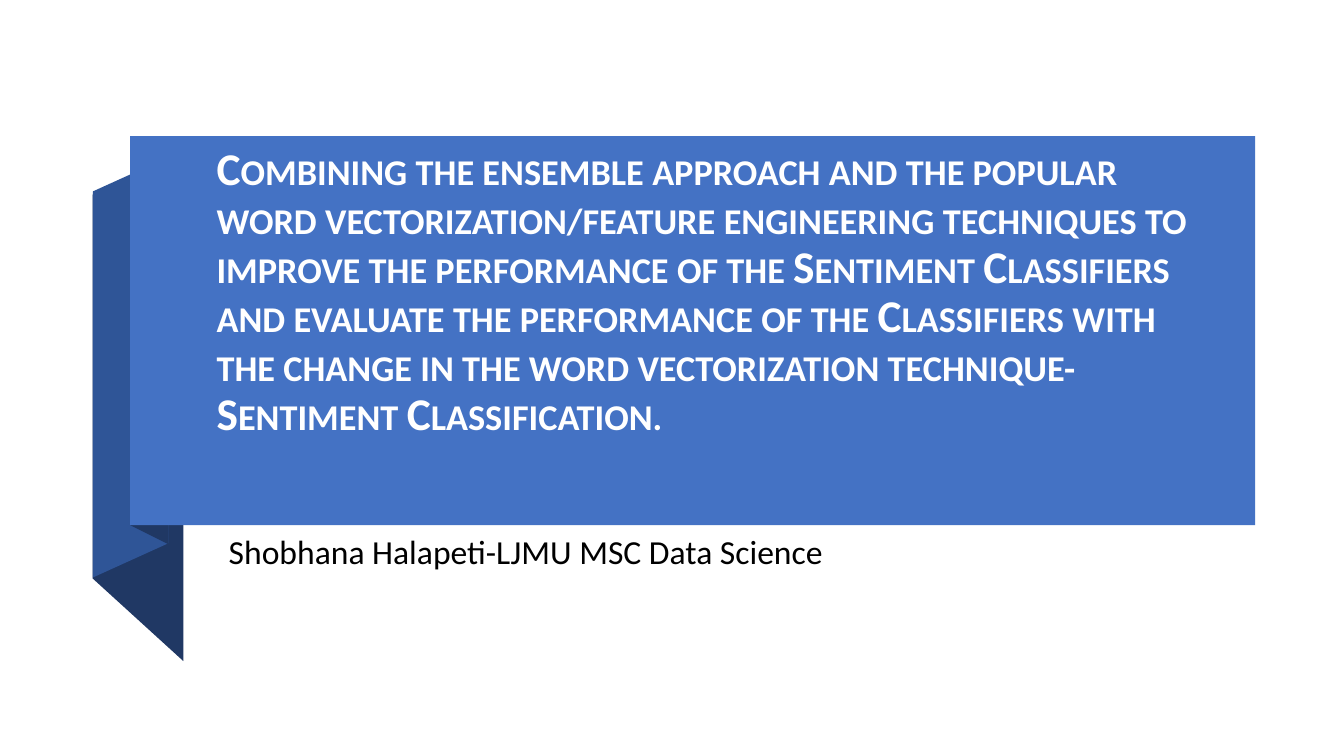
from pptx import Presentation
from pptx.dml.color import RGBColor
from pptx.enum.shapes import MSO_SHAPE
from pptx.enum.text import MSO_ANCHOR
from pptx.util import Pt

SCALE = 9144  # EMU per px, at 100 px to the inch
SLIDE_SIZE = (1333, 750)
FONT = "Calibri"

TITLE = (
    "Combining the ensemble approach and the popular word "
    "vectorization/feature engineering techniques to improve the performance "
    "of the Sentiment Classifiers and evaluate the performance of the "
    "Classifiers with the change in the word vectorization "
    "technique-Sentiment Classification."
)
AUTHOR = "Shobhana Halapeti-LJMU MSC Data Science"

NAVY, BLUE, BRIGHT = "203864", "2F5597", "4472C4"
BANNER = (129, 135, 1116, 386)
# Ribbon folds, back to front: colour and corners
FOLDS = [
    (NAVY, [(92, 574), (182, 656), (182, 276), (92, 193)]),
    (BLUE, [(92, 573), (167, 539), (167, 156), (92, 190)]),
    (NAVY, [(129, 521), (167, 540), (167, 155), (129, 136)]),
]


def px(*lengths):
    return [length * SCALE for length in lengths]


def rgb(hex_text):
    return RGBColor.from_string(hex_text)


def paint(shape, color):
    shape.shadow.inherit = False
    shape.fill.solid()
    shape.fill.fore_color.rgb = rgb(color)
    shape.line.fill.background()


def add_text(slide, text, frame, *, size, color, bold=False, small_caps=False,
             anchor=MSO_ANCHOR.TOP, bottom_inset=5, space_before=0):
    box = slide.shapes.add_textbox(*px(*frame)).text_frame
    box.word_wrap = True
    box.vertical_anchor = anchor
    box.margin_bottom = bottom_inset * SCALE
    para = box.paragraphs[0]
    para.line_spacing = 0.9
    para.space_before = Pt(space_before)
    span = para.add_run()
    span.text = text
    span.font.name = FONT
    span.font.size = Pt(size)
    span.font.bold = bold
    span.font.color.rgb = rgb(color)
    if small_caps:
        span._r.get_or_add_rPr().set("cap", "small")


def main():
    deck = Presentation()
    deck.slide_width, deck.slide_height = px(*SLIDE_SIZE)
    page = deck.slides.add_slide(deck.slide_layouts[6])

    for color, (start, *corners) in FOLDS:
        outline = page.shapes.build_freeform(*start, scale=SCALE)
        outline.add_line_segments(corners, close=True)
        paint(outline.convert_to_shape(), color)
    paint(page.shapes.add_shape(MSO_SHAPE.RECTANGLE, *px(*BANNER)), BRIGHT)

    add_text(page, TITLE, (205, 176, 1010, 315), size=32.4, color="FFFFFF",
             bold=True, small_caps=True, anchor=MSO_ANCHOR.BOTTOM,
             bottom_inset=54)
    add_text(page, AUTHOR, (217, 526, 985, 118), size=24, color="000000",
             space_before=10)
    deck.save("out.pptx")


if __name__ == "__main__":
    main()
